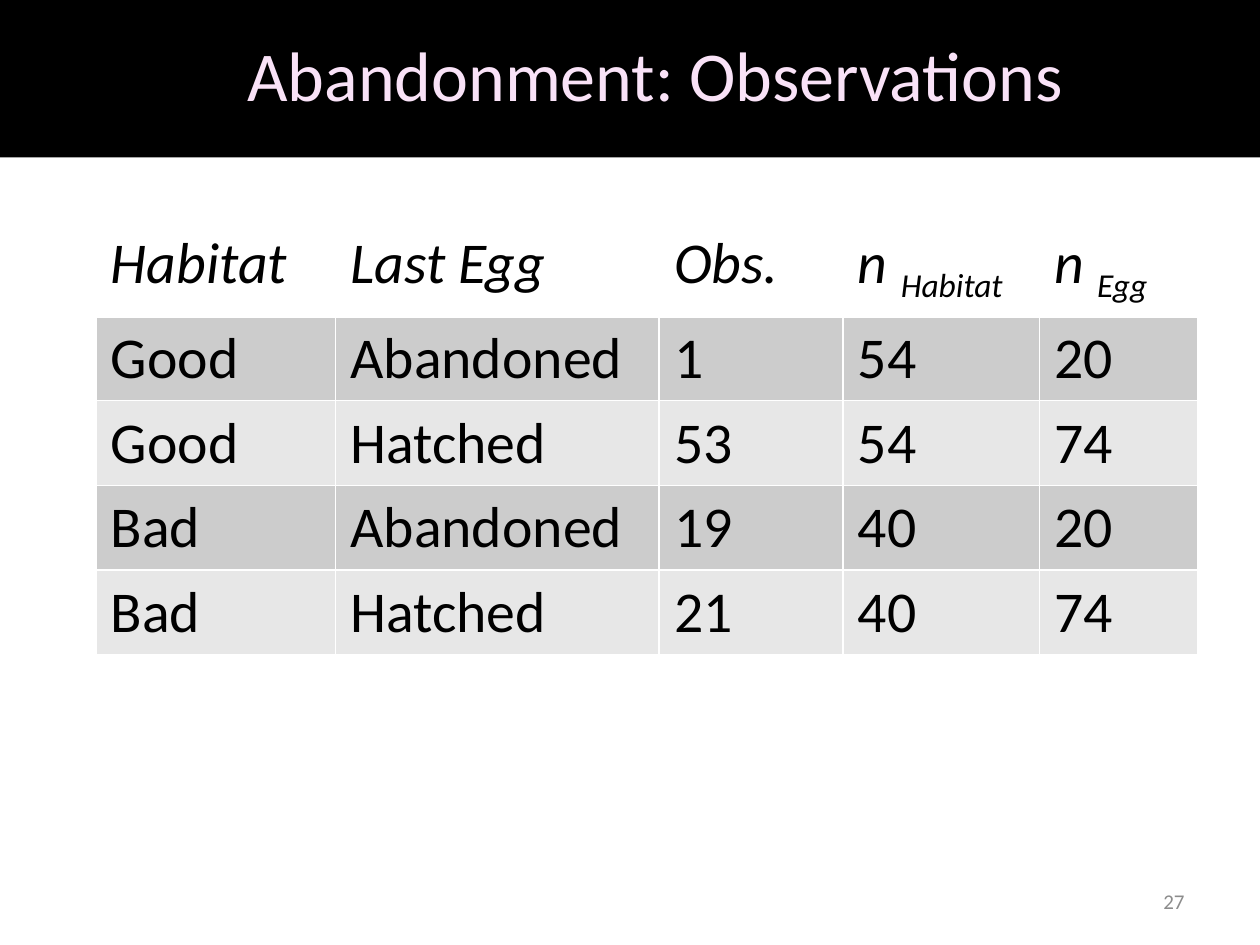
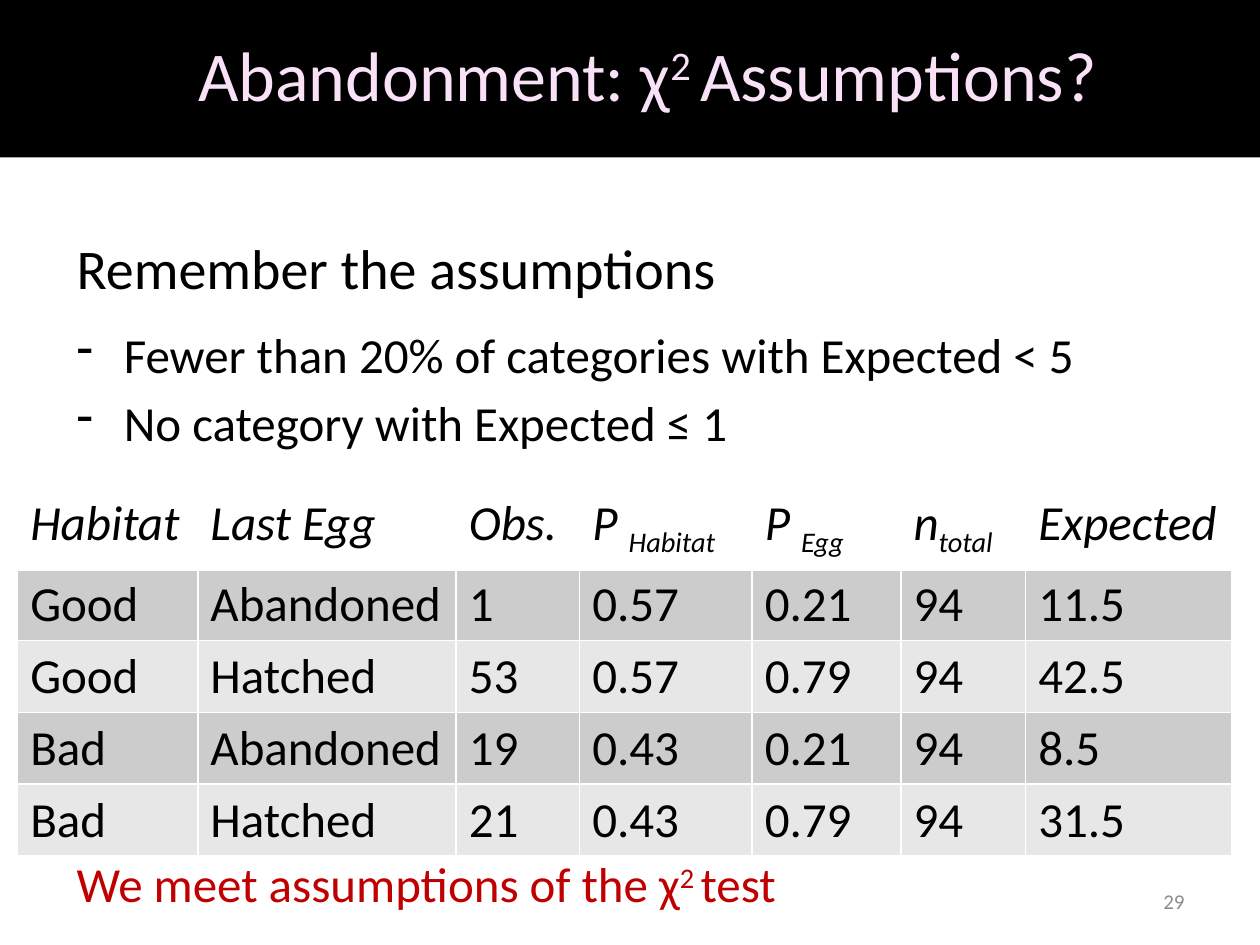
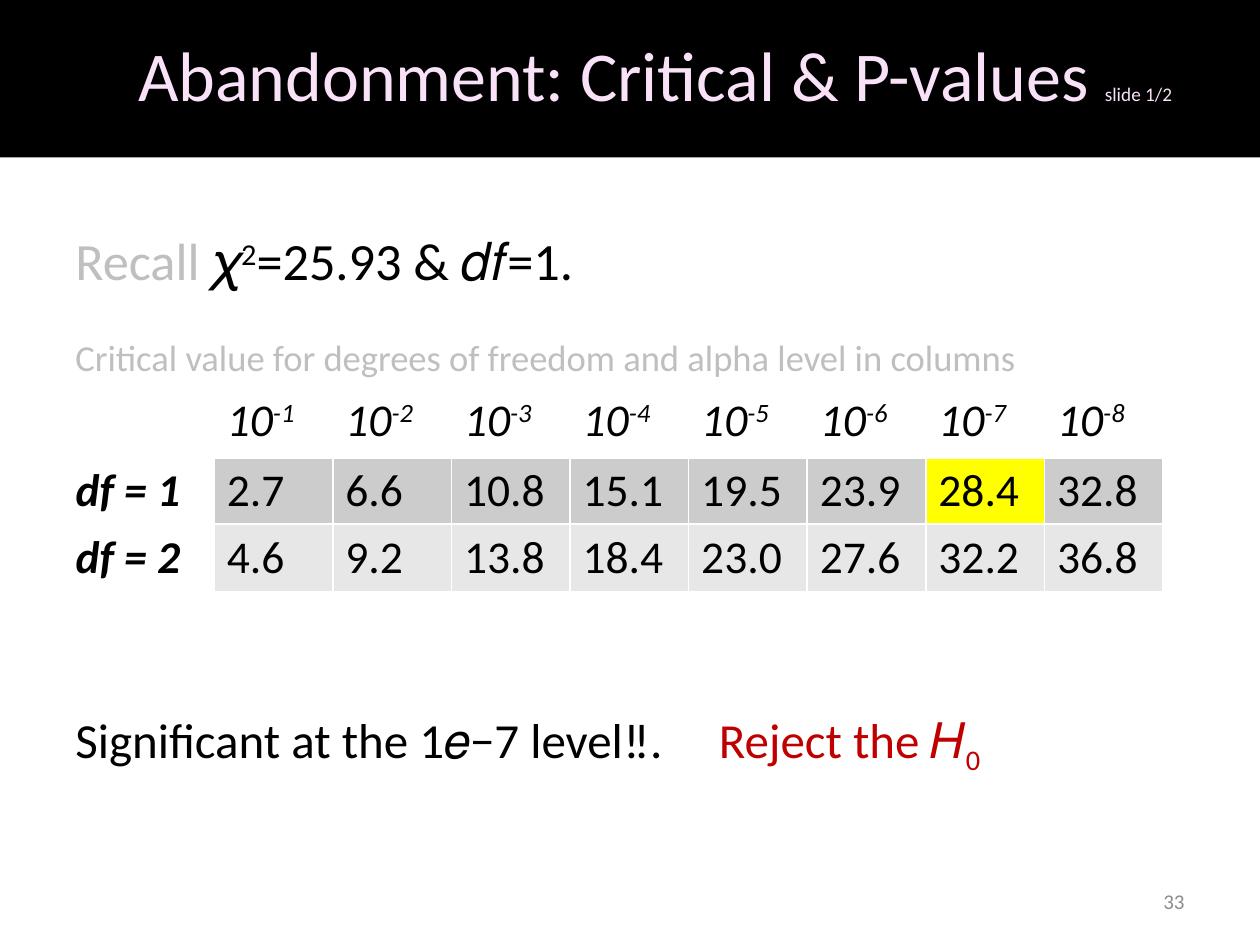
from dataclasses import dataclass

from lxml import etree
from pptx import Presentation
from pptx import util as u
from pptx.dml import color
from pptx.enum import shapes, text
from pptx.oxml import ns


@dataclass(frozen=True)
class Theme:
    font: str = "Calibri"
    black: str = "000000"
    white: str = "FFFFFF"
    title: str = "F9E2F7"
    number: str = "8C8C8C"
    faded: str = "BFBFBF"
    verdict: str = "C00000"
    bands: tuple = ("CCCCCC", "E7E7E7")
    highlight: str = "FFFF00"
    title_size: float = 40
    tag_size: float = 11
    number_size: float = 12
    lead_size: float = 32
    body_size: float = 28
    recall_size: float = 29.9
    caption_size: float = 20.9


@dataclass(frozen=True)
class Span:
    text: str
    size: float = None
    color: str = None
    base: int = 0


def sup(words):
    return Span(words, base=30)


def sub(words, ink=None):
    return Span(words, color=ink, base=-25)


def rgb(value):
    return color.RGBColor.from_string(value)


class Slides:
    def __init__(self, theme):
        self.theme = theme
        self.deck = Presentation()
        self.deck.slide_width = u.Pt(720)
        self.deck.slide_height = u.Pt(540)
        self.page = None

    def start(self, title, number):
        theme = self.theme
        self.page = self.deck.slides.add_slide(self.deck.slide_layouts[6])
        band = self.page.shapes.add_shape(
            shapes.MSO_SHAPE.RECTANGLE, 0, 0, u.Pt(720), u.Pt(90))
        band.shadow.inherit = False
        band.fill.solid()
        band.fill.fore_color.rgb = rgb(theme.black)
        band.line.fill.background()
        frame = band.text_frame
        frame.word_wrap = True
        frame.vertical_anchor = text.MSO_ANCHOR.MIDDLE
        frame.margin_left, frame.margin_right = u.Pt(36), u.Pt(7.2)
        frame.margin_top = frame.margin_bottom = u.Pt(10.8)
        para = frame.paragraphs[0]
        para.alignment = text.PP_ALIGN.CENTER
        para.line_spacing = 0.9
        self.add_spans(para, title, theme.title_size, theme.title)

        para = self.box(516.2, 500.4, 167.8, 28.8, text.MSO_ANCHOR.MIDDLE).paragraphs[0]
        para.alignment = text.PP_ALIGN.RIGHT
        self.add_spans(para, str(number), theme.number_size, theme.number)

    def box(self, left, top, width, height, anchor=text.MSO_ANCHOR.TOP):
        box = self.page.shapes.add_textbox(
            u.Pt(left), u.Pt(top), u.Pt(width), u.Pt(height))
        frame = box.text_frame
        frame.word_wrap = True
        frame.vertical_anchor = anchor
        return frame

    def line(self, left, top, content, size, ink=None, tab=None):
        para = self.box(left, top, 648, size * 1.22 + 7.2).paragraphs[0]
        if tab:
            stops = etree.SubElement(para._p.get_or_add_pPr(), ns.qn("a:tabLst"))
            etree.SubElement(stops, ns.qn("a:tab"), pos=str(u.Pt(tab)), algn="l")
        self.add_spans(para, content, size, ink)

    def bullets(self, left, top, lead, items):
        theme = self.theme
        frame = self.box(left, top, 648, 130)
        self.add_spans(frame.paragraphs[0], lead, theme.lead_size)
        for index, item in enumerate(items):
            para = frame.add_paragraph()
            props = para._p.get_or_add_pPr()
            props.set("marL", str(u.Pt(27)))
            props.set("indent", str(u.Pt(-27)))
            etree.SubElement(props, ns.qn("a:buChar"), char="-")
            para.space_before = u.Pt(5 if index else 13.5)
            self.add_spans(para, item, theme.body_size)

    def add_spans(self, para, content, size, ink=None, italic=False, bold=False):
        spans = [Span(content)] if isinstance(content, str) else content
        for part in spans:
            span = para.add_run()
            span.text = part.text
            font = span.font
            font.name = self.theme.font
            font.size = u.Pt(part.size or size)
            font.color.rgb = rgb(part.color or ink or self.theme.black)
            font.italic, font.bold = italic, bold
            if part.base:
                span._r.get_or_add_rPr().set("baseline", str(part.base * 1000))

    def table(self, left, top, widths, heights, rows, size,
              margins=(7.2, 3.6), highlight=None):
        theme = self.theme
        frame = self.page.shapes.add_table(
            len(rows), len(widths), u.Pt(left), u.Pt(top),
            u.Pt(sum(widths)), u.Pt(sum(heights)))
        grid = frame.table
        grid.first_row = grid.horz_banding = False
        for column, width in zip(grid.columns, widths):
            column.width = u.Pt(width)
        for r, (row, height) in enumerate(zip(rows, heights)):
            grid.rows[r].height = u.Pt(height)
            for c, content in enumerate(row):
                cell = grid.cell(r, c)
                cell.margin_left = cell.margin_right = u.Pt(margins[0])
                cell.margin_top = cell.margin_bottom = u.Pt(margins[1])
                label = r == 0 or c == 0
                fill = theme.white if label else theme.bands[(r - 1) % 2]
                self.borders(cell, 3 if r == 0 else 1)
                cell.fill.solid()
                cell.fill.fore_color.rgb = rgb(
                    theme.highlight if (r, c) == highlight else fill)
                if content:
                    self.add_spans(cell.text_frame.paragraphs[0], content, size,
                                   italic=label, bold=c == 0)

    def borders(self, cell, bottom):
        props = cell._tc.get_or_add_tcPr()
        for side, width in (("L", 1), ("R", 1), ("T", 1), ("B", bottom)):
            edge = etree.SubElement(props, ns.qn("a:ln" + side), w=str(u.Pt(width)))
            fill = etree.SubElement(edge, ns.qn("a:solidFill"))
            etree.SubElement(fill, ns.qn("a:srgbClr"), val=self.theme.white)


def main():
    theme = Theme()
    slides = Slides(theme)
    groups = [("Good", "Abandoned", "1"), ("Good", "Hatched", "53"),
              ("Bad", "Abandoned", "19"), ("Bad", "Hatched", "21")]
    group_heads = ["", "Habitat", "Last Egg", "Obs."]

    slides.start("Abandonment: Observations", 27)
    counts = [("54", "20"), ("54", "74"), ("40", "20"), ("40", "74")]
    heads = group_heads + [[Span("n "), sub("Habitat")], [Span("n "), sub("Egg")]]
    slides.table(
        34.6, 126, [20.2, 136.8, 185, 105.1, 112.3, 90.7], [54.6] + [48.4] * 4,
        [heads] + [["", *group, *count] for group, count in zip(groups, counts)],
        33, margins=(8.64, 4.32))

    slides.start([Span("Abandonment: χ"), sup("2 "), Span("Assumptions? ")], 29)
    slides.bullets(36.7, 130, "Remember the assumptions", [
        "Fewer than 20% of categories with Expected < 5",
        "No category with Expected ≤ 1"])
    chances = [("0.57", "0.21", "94", "11.5"), ("0.57", "0.79", "94", "42.5"),
               ("0.43", "0.21", "94", "8.5"), ("0.43", "0.79", "94", "31.5")]
    heads = group_heads + [[Span("P "), sub("Habitat")], [Span("P "), sub("Egg")],
                           [Span("n"), sub("total")], "Expected"]
    slides.table(
        -7.2, 278.6, [17.3, 103, 147.6, 70.6, 98.6, 85, 71.3, 118], [46.5] + [41] * 4,
        [heads] + [["", *group, *chance] for group, chance in zip(groups, chances)],
        28)
    slides.line(36.7, 484.4, [Span("We meet assumptions of the χ"), sup("2 "),
                              Span("test")], theme.body_size, theme.verdict)

    slides.start([Span("Abandonment: Critical & P-values "),
                  Span("slide 1/2", theme.tag_size)], 33)
    slides.line(36, 127, [Span("Recall", color=theme.faded), Span(" 𝜒"), sup("2"),
                          Span("=25.93 & 𝑑𝑓=1.")], theme.recall_size)
    slides.line(36, 187.8,
                "Critical value for degrees of freedom and alpha level in columns",
                theme.caption_size, theme.faded)
    slides.table(
        36, 221, [86.4] + [67.8] * 8, [40, 38.5, 38.5],
        [[""] + [[Span("10"), sup(f"-{power}")] for power in range(1, 9)],
         ["df = 1", "2.7", "6.6", "10.8", "15.1", "19.5", "23.9", "28.4", "32.8"],
         ["df = 2", "4.6", "9.2", "13.8", "18.4", "23.0", "27.6", "32.2", "36.8"]],
        26, highlight=(1, 7))
    slides.line(36, 401.6, [Span("Significant at the 1𝑒−7 level‼️.\t"),
                            Span("Reject the 𝐻", color=theme.verdict),
                            sub("0", theme.verdict)], theme.body_size, tab=367.7)

    slides.deck.save("out.pptx")


if __name__ == "__main__":
    main()
